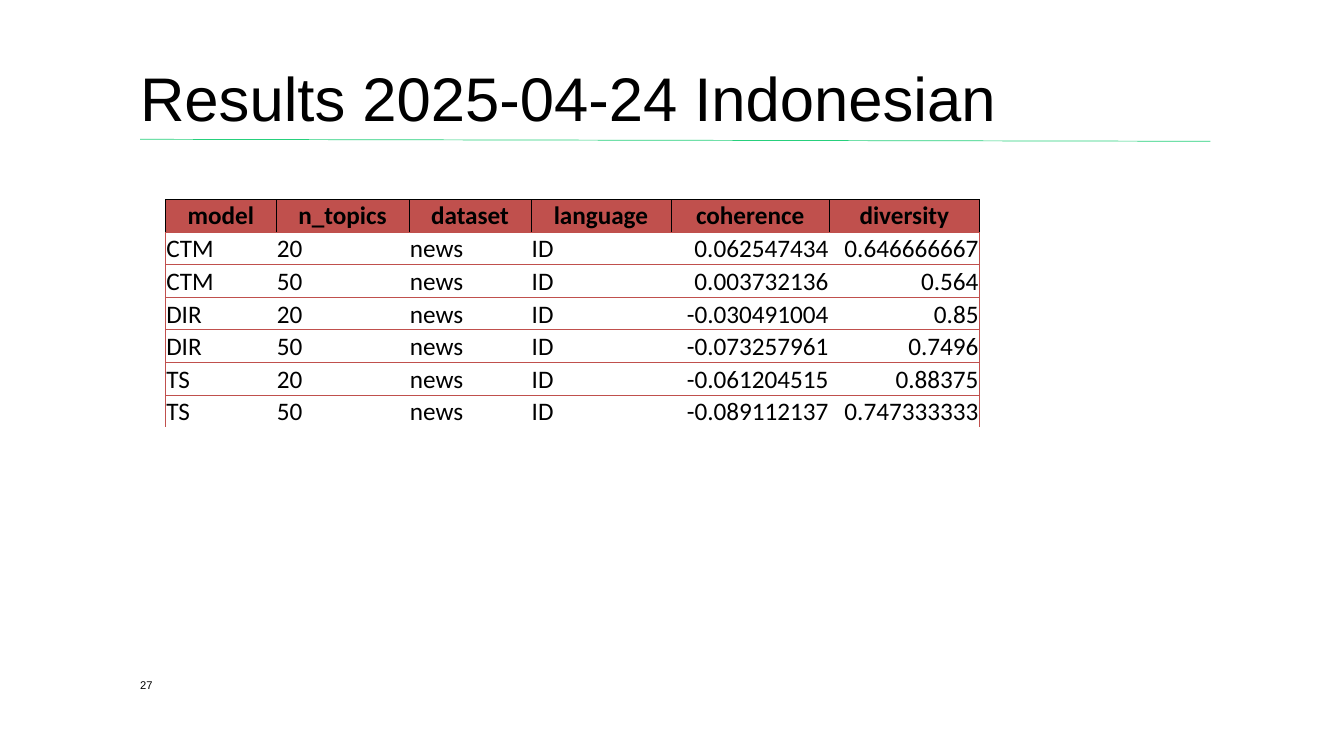
import pptx
import pptx.dml.color
import pptx.enum.shapes
import pptx.enum.text
import pptx.oxml
import pptx.oxml.ns
import pptx.util

Cm = pptx.util.Cm
Pt = pptx.util.Pt
ALIGN = pptx.enum.text.PP_ALIGN
ANCHOR = pptx.enum.text.MSO_ANCHOR

BLACK = "000000"
RED = "C0504D"
GREEN = "26D07C"
NO_STYLE = "{2D5ABB26-0587-4C30-8999-92F81FD0307C}"

HEADER = ["model", "n_topics", "dataset", "language", "coherence", "diversity"]
RESULTS = [
    ("CTM", "20", "0.062547434", "0.646666667"),
    ("CTM", "50", "0.003732136", "0.564"),
    ("DIR", "20", "-0.030491004", "0.85"),
    ("DIR", "50", "-0.073257961", "0.7496"),
    ("TS", "20", "-0.061204515", "0.88375"),
    ("TS", "50", "-0.089112137", "0.747333333"),
]
COL_WIDTHS = [2.79, 3.35, 3.07, 3.53, 3.99, 3.78]
ROW_HEIGHT = 0.82


def rgb(hex_color):
    return pptx.dml.color.RGBColor.from_string(hex_color)


def add_run(p, text, size, font, bold=False):
    r = p.add_run()
    r.text = text
    r.font.size = Pt(size)
    r.font.name = font
    r.font.bold = bold
    r.font.color.rgb = rgb(BLACK)


def add_text(s, box, text, size, line_spacing=1.0):
    tf = s.shapes.add_textbox(*[Cm(v) for v in box]).text_frame
    tf.word_wrap = True
    tf.vertical_anchor = ANCHOR.BOTTOM
    tf.margin_left = tf.margin_right = tf.margin_top = tf.margin_bottom = 0
    p = tf.paragraphs[0]
    p.line_spacing = line_spacing
    add_run(p, text, size, "Arial")


def add_title(s, box, text):
    left, top, width, height = box
    rule = s.shapes.add_connector(
        pptx.enum.shapes.MSO_CONNECTOR.STRAIGHT,
        Cm(left), Cm(top + height + 0.1), Cm(left + width), Cm(top + height + 0.15))
    rule.line.color.rgb = rgb(GREEN)
    rule.line.width = Pt(0.5)
    pptx.oxml.ns.qn("a:effectLst")
    rule._element.spPr.append(
        pptx.oxml.parse_xml("<a:effectLst %s/>" % pptx.oxml.ns.nsdecls("a")))
    add_text(s, box, text, 44, 0.9)


def set_borders(cell, colors):
    tcPr = cell._tc.get_or_add_tcPr()
    for i, side in enumerate("LRTB"):
        color = colors.get(side)
        fill = ('<a:solidFill><a:srgbClr val="%s"/></a:solidFill>' % color
                if color else "<a:noFill/>")
        tcPr.insert(i, pptx.oxml.parse_xml(
            '<a:ln%s %s w="%d">%s</a:ln%s>'
            % (side, pptx.oxml.ns.nsdecls("a"), Pt(0.5), fill, side)))


def border_colors(row, col, last_row, last_col):
    if row == 0:
        return {"L": BLACK, "R": BLACK, "T": BLACK, "B": RED}
    colors = {"T": RED}
    if row < last_row:
        colors["B"] = RED
    if col == 0:
        colors["L"] = RED
    if col == last_col:
        colors["R"] = RED
    return colors


def add_results(s, left, top):
    rows = [HEADER] + [(model, topics, "news", "ID", coherence, diversity)
                       for model, topics, coherence, diversity in RESULTS]
    frame = s.shapes.add_table(
        len(rows), len(HEADER), Cm(left), Cm(top),
        Cm(sum(COL_WIDTHS)), Cm(ROW_HEIGHT * len(rows)))
    table = frame.table
    table.horz_banding = False
    table._tbl.tblPr.find(pptx.oxml.ns.qn("a:tableStyleId")).text = NO_STYLE
    for column, width in zip(table.columns, COL_WIDTHS):
        column.width = Cm(width)
    for i, values in enumerate(rows):
        table.rows[i].height = Cm(ROW_HEIGHT)
        for j, value in enumerate(values):
            cell = table.cell(i, j)
            cell.margin_left = cell.margin_right = cell.margin_top = Cm(0.02)
            cell.margin_bottom = 0
            p = cell.text_frame.paragraphs[0]
            if i == 0:
                cell.fill.solid()
                cell.fill.fore_color.rgb = rgb(RED)
                p.alignment = ALIGN.CENTER
            else:
                cell.fill.background()
                cell.vertical_anchor = ANCHOR.BOTTOM
                p.alignment = ALIGN.RIGHT if j >= 4 else ALIGN.LEFT
            add_run(p, value, 18, "Calibri", i == 0)
            set_borders(cell, border_colors(i, j, len(rows) - 1, len(HEADER) - 1))


def main():
    prs = pptx.Presentation()
    prs.slide_width = Cm(33.87)
    prs.slide_height = Cm(19.05)
    s = prs.slides.add_slide(prs.slide_layouts[6])
    add_title(s, (3.53, 1.02, 26.97, 2.39), "Results 2025-04-24 Indonesian")
    add_text(s, (3.53, 16.76, 1.27, 0.66), "27", 8)
    add_results(s, 4.17, 5.03)
    prs.save("out.pptx")


if __name__ == "__main__":
    main()
